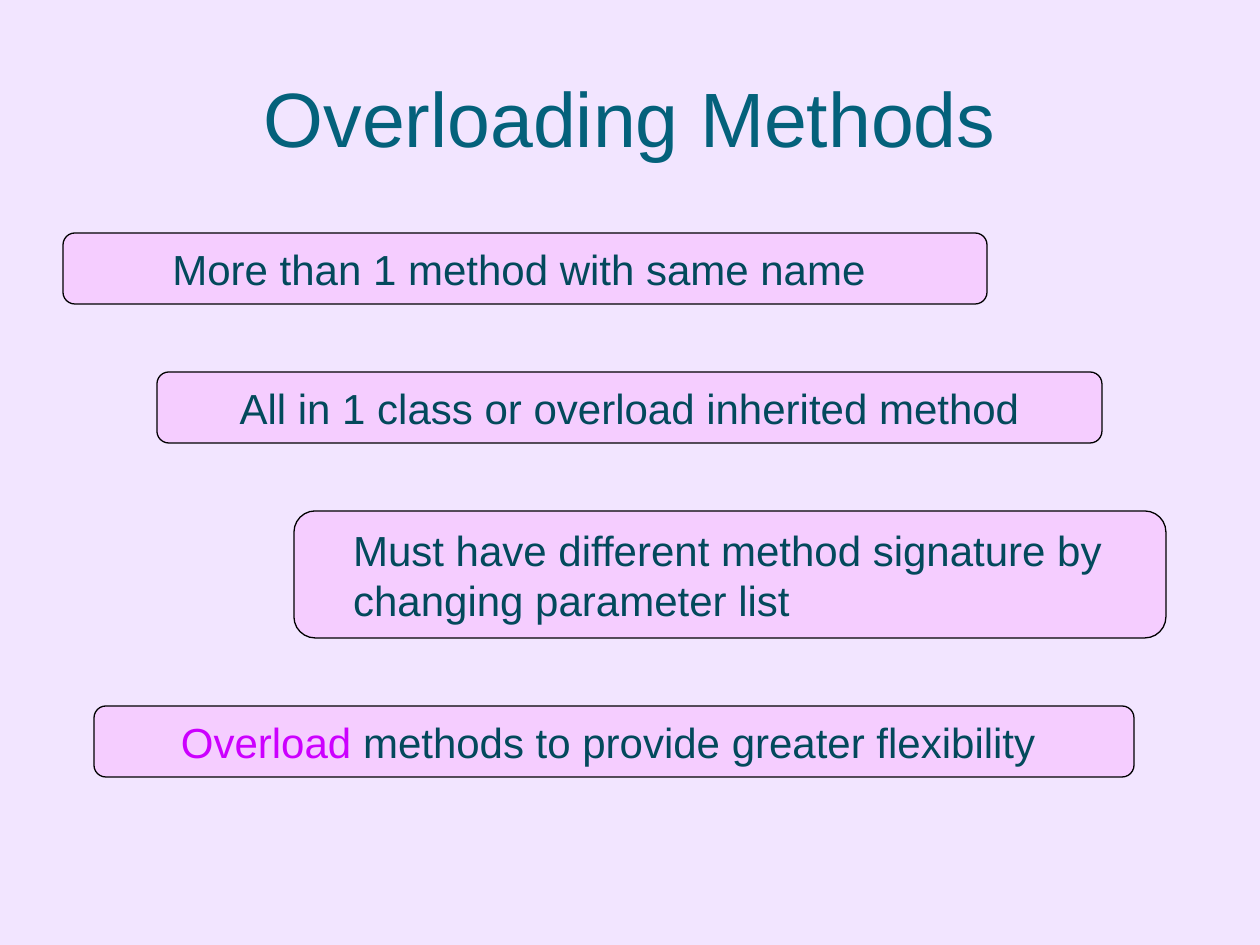
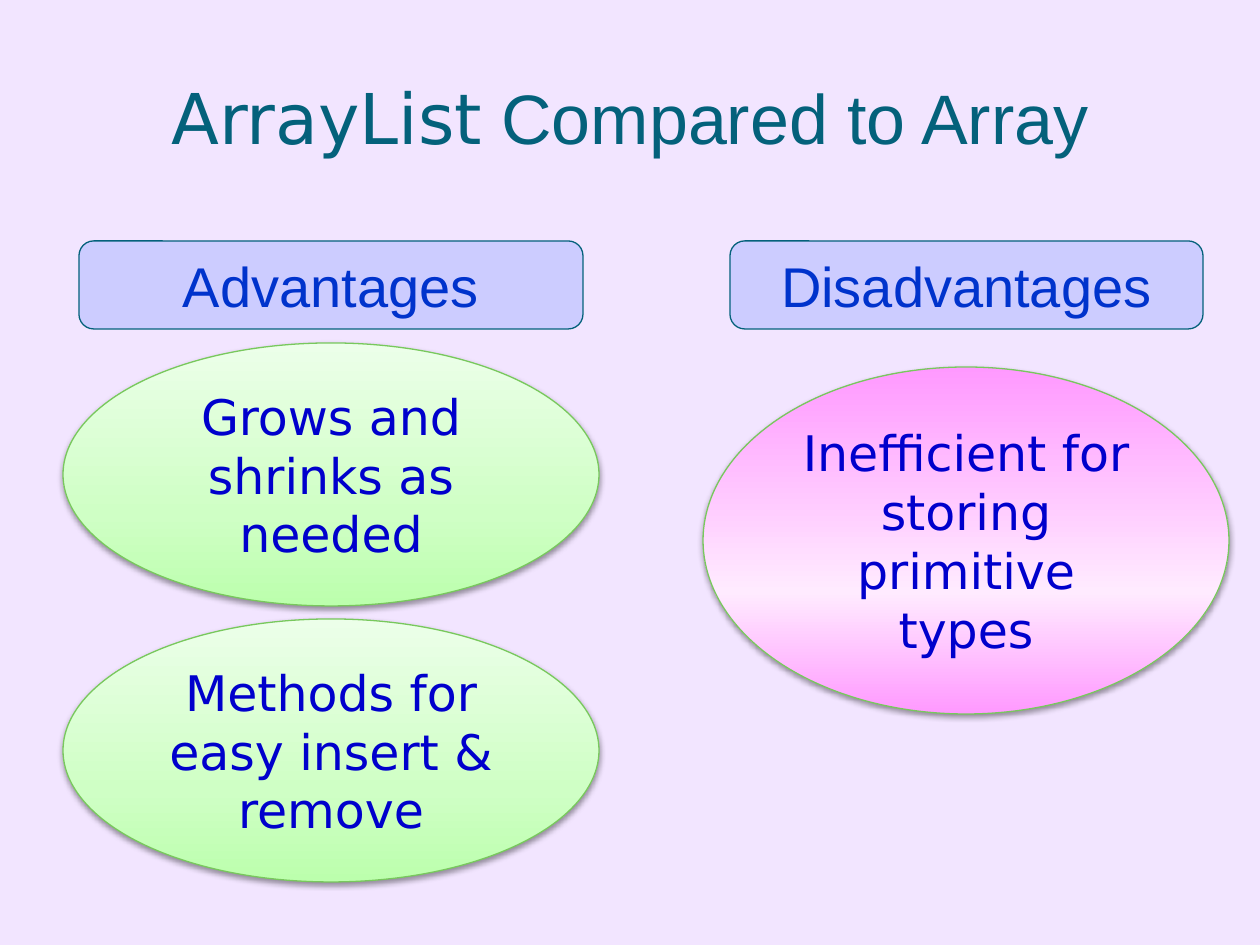
from pptx import Presentation
from pptx import util as u
from pptx.dml.color import RGBColor
from pptx.enum import shapes, text
from pptx.oxml import parse_xml
from pptx.oxml.ns import nsdecls, qn

PX = 914400 / 126
SANS, WIDE = "Arial", "DejaVu Sans"
BACKGROUND, TITLE, BODY = "F2E5FF", "04617B", "03495C"
BAR, HIGHLIGHT = "F5CDFF", "CC00FF"
HEADING_FILL, HEADING_TEXT = "CCCCFF", "0033CC"
OVAL_LINE, OVAL_TEXT = "78C85D", "0000CC"
GREEN = [(0, "BCFFAD"), (35, "CFFFC5"), (100, "ECFFE9")]
PINK = [(0, "FF99FF"), (35, "FFEBFF"), (100, "FF99FF")]
CENTER, LEFT = text.PP_ALIGN.CENTER, text.PP_ALIGN.LEFT


def px(length):
    return u.Emu(round(length * PX))


def color(value):
    return RGBColor.from_string(value)


def write(shape, runs, size, align=CENTER):
    """Fill a shape with one paragraph; each run is (words, font, colour)."""
    frame = shape.text_frame
    frame.word_wrap = True
    frame.auto_size = text.MSO_AUTO_SIZE.NONE
    frame.vertical_anchor = text.MSO_ANCHOR.MIDDLE
    paragraph = frame.paragraphs[0]
    paragraph.alignment = align
    for words, font, run_color in runs:
        run = paragraph.add_run()
        run.text = words
        run.font.name = font
        run.font.size = u.Pt(size)
        run.font.color.rgb = color(run_color)


def add_titled_slide(presentation, runs, size):
    slide = presentation.slides.add_slide(presentation.slide_layouts[5])
    title = slide.shapes.title
    title.left, title.top, title.width, title.height = map(px, (63, 38, 1134, 157))
    write(title, runs, size)
    return slide


def add_outlined(slide, kind, box, line):
    shape = slide.shapes.add_shape(kind, *map(px, box))
    shape.shadow.inherit = False
    shape.line.color.rgb = color(line)
    shape.line.width = u.Pt(0.75)
    return shape


def add_rounded_box(slide, box, fill, line):
    shape = add_outlined(slide, shapes.MSO_SHAPE.ROUNDED_RECTANGLE, box, line)
    shape.fill.solid()
    shape.fill.fore_color.rgb = color(fill)
    return shape


def add_bar(slide, box, runs, align=CENTER, insets=(12, 12)):
    bar = add_rounded_box(slide, box, BAR, "000000")
    bar.text_frame.margin_left, bar.text_frame.margin_right = map(px, insets)
    write(bar, runs, 24, align)


def add_heading(slide, box, words):
    heading = add_rounded_box(slide, box, HEADING_FILL, TITLE)
    write(heading, [(words, SANS, HEADING_TEXT)], 32)


def set_gradient(shape, stops):
    """Blend the (percent, colour) stops from bottom to top."""
    marks = "".join(
        f'<a:gs pos="{percent * 1000}"><a:srgbClr val="{value}"/></a:gs>'
        for percent, value in stops)
    shape.fill.background()
    properties = shape.element.spPr
    properties.replace(properties.find(qn("a:noFill")), parse_xml(
        f'<a:gradFill {nsdecls("a")} rotWithShape="1"><a:gsLst>{marks}</a:gsLst>'
        '<a:lin ang="16200000" scaled="0"/></a:gradFill>'))


def add_soft_shadow(shape):
    shape.element.spPr.find(qn("a:effectLst")).append(parse_xml(
        f'<a:outerShdw {nsdecls("a")} blurRad="40000" dist="20000" dir="5400000" '
        'rotWithShape="0"><a:srgbClr val="000000"><a:alpha val="38000"/>'
        '</a:srgbClr></a:outerShdw>'))


def add_oval(slide, box, stops, words):
    oval = add_outlined(slide, shapes.MSO_SHAPE.OVAL, box, OVAL_LINE)
    set_gradient(oval, stops)
    add_soft_shadow(oval)
    write(oval, [(words, WIDE, OVAL_TEXT)], 28)


def build_overloading(presentation):
    slide = add_titled_slide(presentation, [("Overloading Methods", SANS, TITLE)], 44)
    bars = [
        (63, 924, 71, [("More than 1 method with same name", SANS, BODY)],
         CENTER, (12, 24)),
        (157, 945, 71, [("All in 1 class or overload inherited method", SANS, BODY)],
         CENTER, (12, 12)),
        (294, 872, 127, [("Must have different method signature by changing "
                          "parameter list", SANS, BODY)], LEFT, (53, 12)),
        (94, 1040, 71, [("Overload ", SANS, HIGHLIGHT),
                        ("methods to provide greater flexibility ", SANS, BODY)],
         CENTER, (12, 12)),
    ]
    top, gap = 233, 68
    for left, width, height, runs, align, insets in bars:
        add_bar(slide, (left, top, width, height), runs, align, insets)
        top += height + gap


def build_comparison(presentation):
    slide = add_titled_slide(presentation, [
        ("ArrayList", WIDE, TITLE), (" Compared to Array", SANS, TITLE)], 40)
    add_heading(slide, (79, 241, 504, 88), "Advantages")
    add_heading(slide, (730, 241, 473, 88), "Disadvantages")
    advantages = ["Grows and shrinks as needed", "Methods for easy insert & remove"]
    for row, words in enumerate(advantages):
        add_oval(slide, (63, 343 + 276 * row, 536, 263), GREEN, words)
    add_oval(slide, (703, 367, 526, 347), PINK,
             "Inefficient for storing primitive types")


def main():
    presentation = Presentation()
    presentation.slide_width, presentation.slide_height = px(1260), px(945)
    background = presentation.slide_master.background.fill
    background.solid()
    background.fore_color.rgb = color(BACKGROUND)
    build_overloading(presentation)
    build_comparison(presentation)
    presentation.save("out.pptx")


if __name__ == "__main__":
    main()
